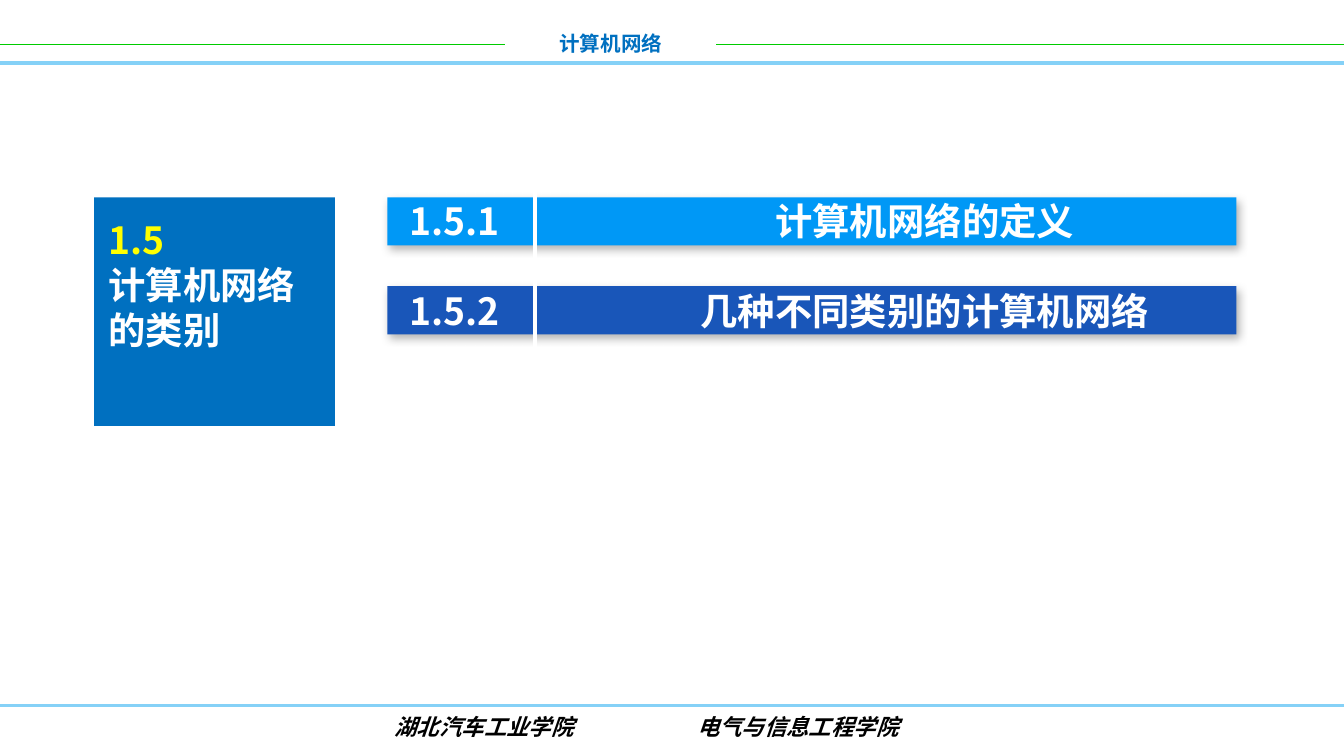
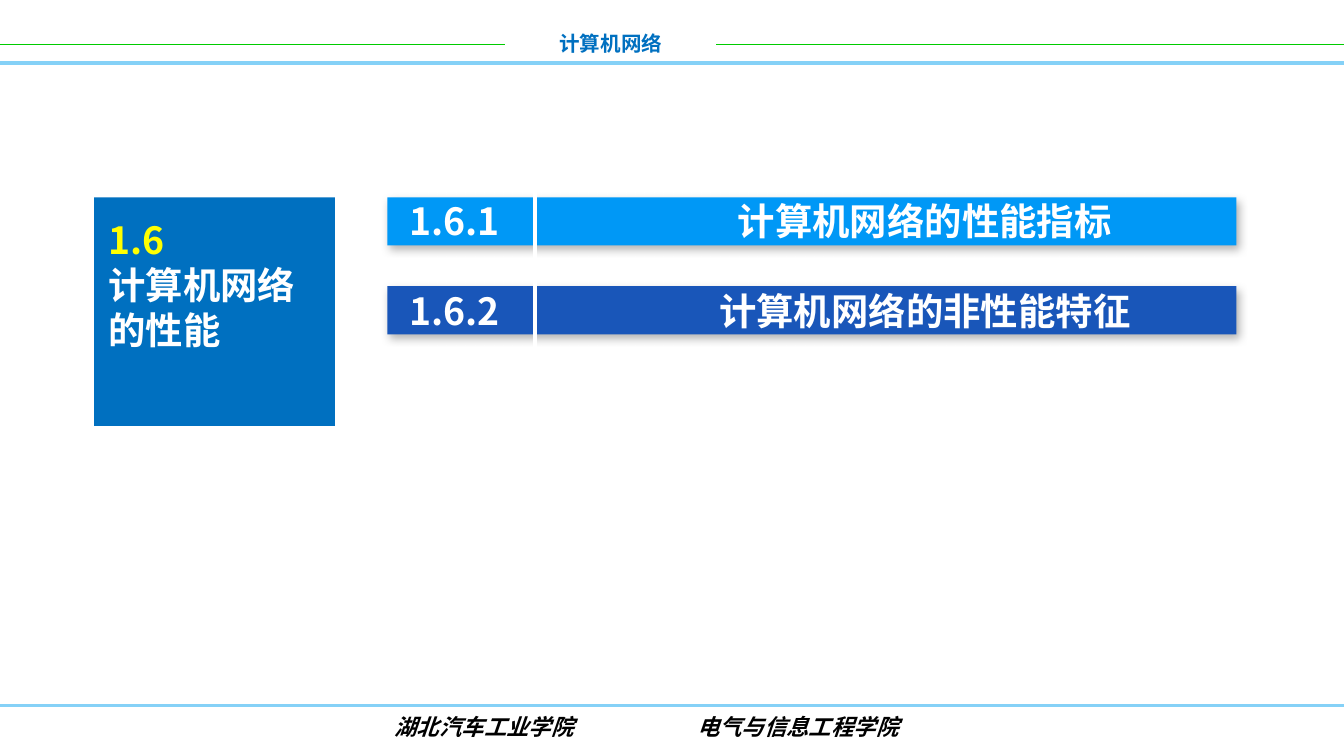
from pptx import Presentation
from pptx.dml.color import RGBColor
from pptx.enum.shapes import MSO_CONNECTOR, MSO_SHAPE
from pptx.enum.text import PP_ALIGN
from pptx.oxml import parse_xml
from pptx.oxml.ns import nsdecls, qn
from pptx.util import Cm, Pt

LINE, RECT = MSO_CONNECTOR.STRAIGHT, MSO_SHAPE.RECTANGLE
LEFT, MID = PP_ALIGN.LEFT, PP_ALIGN.CENTER
NOTO = "Noto Sans CJK SC"
WIDE, HIGH = 25.4, 14.29
WHITE, BLUE, SKY, GREEN = "FFFFFF", "0070C0", "85D1F7", "00CC00"

RULES = [
    (0, 0.84, 9.55, 0.84, GREEN, 1),
    (13.54, 0.84, WIDE, 0.84, GREEN, 1),
    (0, 13.33, WIDE, 13.33, SKY, 1.5),
    (0, 1.19, WIDE, 1.19, SKY, 2),
]
SPLIT = (10.11, 3.53, 10.11, 6.81, WHITE, 2.25)
BARS = ["0098F6", "1956B9"]
HEAD = {"size": Pt(11), "bold": True}
FOOT = {"size": Pt(12), "bold": True, "italic": True}
BODY = {"size": Pt(20), "bold": True}
LABELS = [
    (9.55, 0.46, 3.99, 0.74, "计算机网络", NOTO, BLUE, HEAD),
    (6.65, 13.36, 5, 0.76, "湖北汽车工业学院", "Arial", "000000", FOOT),
    (12.58, 13.36, 5, 0.76, "电气与信息工程学院", "Arial", "000000", FOOT),
]
PAGES = [
    ("1.5", "计算机网络的类别", ["计算机网络的定义", "几种不同类别的计算机网络"]),
    ("1.6", "计算机网络的性能", ["计算机网络的性能指标", "计算机网络的非性能特征"]),
]
SHADE = (
    f'<a:effectLst {nsdecls("a")}><a:outerShdw blurRad="57150" dist="33020" '
    'dir="3180000" algn="tl" rotWithShape="0"><a:srgbClr val="000000">'
    '<a:alpha val="30000"/></a:srgbClr></a:outerShdw></a:effectLst>'
)
TAB = f'<a:tabLst {nsdecls("a")}><a:tab pos="{Cm(9.74)}" algn="ctr"/></a:tabLst>'


def tint(code):
    return RGBColor.from_string(code)


def write(slide, left, top, wide, high, rows, style, align=LEFT, gap=0, tab=False):
    box = slide.shapes.add_textbox(Cm(left), Cm(top), Cm(wide), Cm(high))
    frame = box.text_frame
    frame.word_wrap = True
    for i, row in enumerate(rows):
        para = frame.paragraphs[0] if i == 0 else frame.add_paragraph()
        para.alignment = align
        para.line_spacing = Pt(style["size"].pt * 1.2)
        if i:
            para.space_before = Pt(gap)
        if tab:
            para._p.get_or_add_pPr().append(parse_xml(TAB))
        for text, face, code in row:
            run = para.add_run()
            run.text = text
            for key, value in style.items():
                setattr(run.font, key, value)
            run.font.color.rgb = tint(code)
            run.font.name = face
            east = run._r.get_or_add_rPr().makeelement(qn("a:ea"), {"typeface": NOTO})
            run._r.rPr.find(qn("a:latin")).addnext(east)


deck = Presentation()
deck.slide_width, deck.slide_height = Cm(WIDE), Cm(HIGH)

for num, title, parts in PAGES:
    slide = deck.slides.add_slide(deck.slide_layouts[6])
    shapes = slide.shapes

    for left, top, wide, high, text, face, code, style in LABELS:
        write(slide, left, top, wide, high, [[(text, face, code)]], style, MID)

    blocks = [(1.78, 3.73, 4.55, 4.32, BLUE)]
    blocks += [(7.32, 3.73 + 1.68 * i, 16.05, 0.91, code) for i, code in enumerate(BARS)]
    for left, top, wide, high, code in blocks:
        block = shapes.add_shape(RECT, Cm(left), Cm(top), Cm(wide), Cm(high))
        block.fill.solid()
        block.fill.fore_color.rgb = tint(code)
        block.line.fill.background()
        if code in BARS:
            block._element.spPr.append(parse_xml(SHADE))
        else:
            block.shadow.inherit = False

    for x1, y1, x2, y2, code, width in RULES + [SPLIT]:
        rule = shapes.add_connector(LINE, Cm(x1), Cm(y1), Cm(x2), Cm(y2))
        rule.line.color.rgb = tint(code)
        rule.line.width = Pt(width)
        rule._element.spPr.append(parse_xml(f'<a:effectLst {nsdecls("a")}/>'))

    names = [[(num, NOTO, "FFFF00")], [(title, NOTO, WHITE)]]
    write(slide, 1.8, 3.99, 4.52, 2.82, names, BODY)
    rows = [
        [(f"{num}.{i}\t", NOTO, WHITE), (part, "Calibri", WHITE)]
        for i, part in enumerate(parts, 1)
    ]
    write(slide, 7.49, 3.63, 15.19, 2.82, rows, BODY, gap=24, tab=True)

deck.save("out.pptx")
